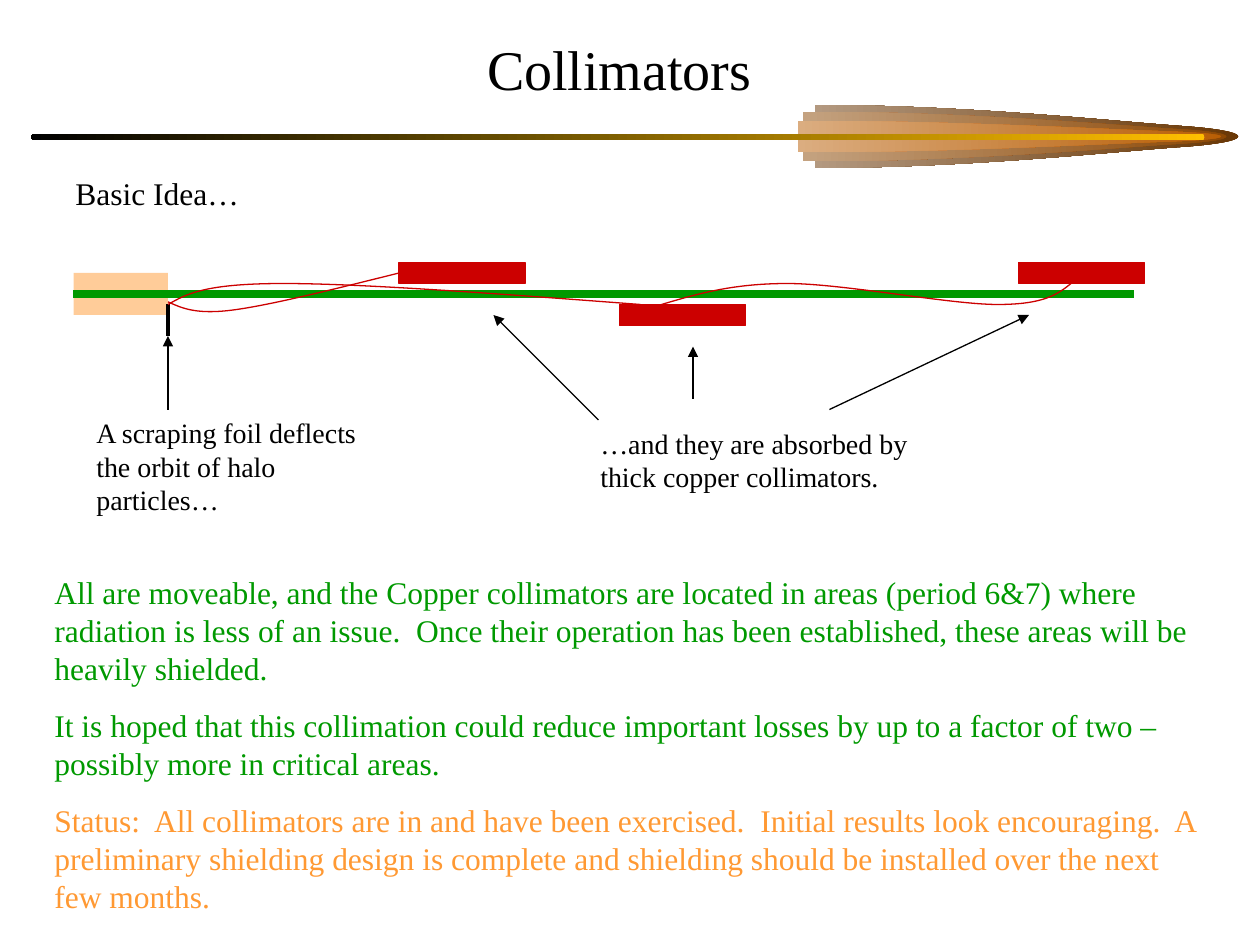
from dataclasses import dataclass

from lxml.etree import SubElement
from pptx import Presentation
from pptx.dml.color import RGBColor
from pptx.enum.shapes import MSO_CONNECTOR, MSO_SHAPE
from pptx.enum.text import MSO_ANCHOR, PP_ALIGN
from pptx.oxml.ns import qn
from pptx.util import Pt

EMU_PER_PX = 9525
FONT = "Times New Roman"
COLORS = {
    "black": "000000", "green": "009900", "red": "CC0000", "orange": "FF9933",
    "peach": "FFCC99", "gold": "FFBF00",
}

Point = tuple[int, int]


@dataclass
class Box:
    left: int
    top: int
    width: int
    height: int


@dataclass
class Label:
    box: Box
    size: int
    paragraphs: list[tuple[str, str]]
    space_before: float = 0
    centered: bool = False


@dataclass
class Line:
    start: Point
    end: Point
    color: str = "black"
    width: float = 0.75
    arrow: bool = False


@dataclass
class CometLayer:
    left: int
    half_height: int
    head: str
    trail: str


COMET_MIDDLE = 104
COMET_LAYERS = [
    CometLayer(621, 24, "663300", "B39980"),
    CometLayer(612, 19, "894400", "C4A280"),
    CometLayer(608, 12, "B75B00", "DBAD80"),
]
TITLE = Label(Box(64, 16, 816, 72), 32, [("Collimators", "black")], centered=True)
LABELS = [
    Label(Box(48, 128, 160, 38), 18, [("Basic Idea…", "black")]),
    Label(Box(64, 312, 248, 86), 16,
          [("A scraping foil deflects the orbit of halo particles…", "black")]),
    Label(Box(448, 320, 296, 61), 16,
          [("…and they are absorbed by thick copper collimators.", "black")]),
    Label(Box(32, 432, 896, 271), 18, [
        ("All are moveable, and the Copper collimators are located in areas (period 6&7) "
         "where radiation is less of an issue.  Once their operation has been established, "
         "these areas will be heavily shielded.", "green"),
        ("It is hoped that this collimation could reduce important losses by up to a factor "
         "of two – possibly more in critical areas.", "green"),
        ("Status:  All collimators are in and have been exercised.  Initial results look "
         "encouraging.  A preliminary shielding design is complete and shielding should be "
         "installed over the next few months.", "orange"),
    ], space_before=11.2),
]
FOIL = Line((128, 232), (128, 256), width=2)
BEAM = Line((56, 224), (864, 224), "green", 5)
COLLIMATORS = [Box(left, top, 96, 16) for left, top in ((304, 200), (472, 232), (776, 200))]
ORBITS = [
    [(128, 230), (139, 235), (150, 240), (179, 236), (208, 232), (256, 220), (304, 208)],
    [(128, 232), (142, 224), (156, 216), (216, 216), (276, 216), (382, 224), (488, 232)],
    [(504, 232), (531, 224), (558, 216), (600, 216), (642, 216), (724, 232), (760, 232),
     (796, 232), (806, 224), (816, 216)],
]
ARROWS = [
    Line((128, 312), (128, 256), arrow=True),
    Line((456, 320), (376, 240), arrow=True),
    Line((528, 304), (528, 264), arrow=True),
    Line((632, 312), (784, 240), arrow=True),
]


def px(*lengths: int) -> list[int]:
    return [length * EMU_PER_PX for length in lengths]


def rgb(name: str) -> RGBColor:
    return RGBColor.from_string(COLORS.get(name, name))


def fill_gradient(shape, right: str, left: str) -> None:
    shape.fill.gradient()
    shape.fill.gradient_angle = 180
    for stop, color, position in zip(shape.fill.gradient_stops, (right, left), (0, 1)):
        stop.color.rgb = rgb(color)
        stop.position = position
    shape.line.fill.background()


def add_box(slide, box: Box, kind=MSO_SHAPE.RECTANGLE):
    shape = slide.shapes.add_shape(kind, *px(box.left, box.top, box.width, box.height))
    shape.shadow.inherit = False
    return shape


def add_curve(slide, points: list[Point], closed: bool = False):
    """Draw cubic segments: a start point, then two controls and an end for each."""
    builder = slide.shapes.build_freeform(*points[0], scale=float(EMU_PER_PX))
    builder.add_line_segments(points[1:], close=closed)
    shape = builder.convert_to_shape()
    shape.shadow.inherit = False
    path = next(shape._element.iter(qn("a:path")))
    segments = path.findall(qn("a:lnTo"))[:len(points) - 1]
    for first, second, third in zip(*[iter(segments)] * 3):
        curve = first.makeelement(qn("a:cubicBezTo"))
        first.addprevious(curve)
        for segment in (first, second, third):
            curve.append(segment[0])
            path.remove(segment)
    return shape


def add_comet_layer(slide, layer: CometLayer) -> None:
    left, half = layer.left, layer.half_height
    upper = [(left, -half), (left + 115, -half), (left + 222, -round(half / 2)),
             (left + 279, -round(half / 3)), (left + 337, -round(half / 6))]
    lower = [(x, -y) for x, y in reversed(upper)]
    # The shoulder point ends the first segment and starts the second.
    points = [(x, COMET_MIDDLE + y) for x, y in upper + lower]
    fill_gradient(add_curve(slide, points, closed=True), layer.head, layer.trail)


def add_line(slide, line: Line):
    connector = slide.shapes.add_connector(
        MSO_CONNECTOR.STRAIGHT, *px(*line.start, *line.end))
    connector.line.color.rgb = rgb(line.color)
    connector.line.width = Pt(line.width)
    if line.arrow:
        SubElement(connector.line._get_or_add_ln(), qn("a:tailEnd"), type="triangle")
    SubElement(connector._element.spPr, qn("a:effectLst"))
    return connector


def add_label(slide, label: Label) -> None:
    box = label.box
    frame = slide.shapes.add_textbox(
        *px(box.left, box.top, box.width, box.height)).text_frame
    frame.word_wrap = True
    if label.centered:
        frame.vertical_anchor = MSO_ANCHOR.MIDDLE
    frame.text = "\n".join(text for text, _ in label.paragraphs)
    for index, (para, (_, color)) in enumerate(zip(frame.paragraphs, label.paragraphs)):
        if index:
            para.space_before = Pt(label.space_before)
        para.alignment = PP_ALIGN.CENTER if label.centered else PP_ALIGN.LEFT
        for span in para.runs:
            span.font.name = FONT
            span.font.size = Pt(label.size)
            span.font.color.rgb = rgb(color)


def main() -> None:
    deck = Presentation()
    deck.slide_width, deck.slide_height = px(960, 720)
    slide = deck.slides.add_slide(deck.slide_layouts[6])

    for layer in COMET_LAYERS:
        add_comet_layer(slide, layer)
    rule = add_box(slide, Box(24, 102, 894, 5), MSO_SHAPE.ROUNDED_RECTANGLE)
    rule.adjustments[0] = 0.5
    fill_gradient(rule, "gold", "black")

    source = add_box(slide, Box(56, 208, 72, 32))
    source.fill.solid()
    source.fill.fore_color.rgb = rgb("peach")
    source.line.fill.background()

    add_label(slide, TITLE)
    add_line(slide, FOIL)
    add_line(slide, BEAM).begin_connect(source, 1)
    for box in COLLIMATORS:
        collimator = add_box(slide, box)
        collimator.fill.solid()
        collimator.fill.fore_color.rgb = rgb("red")
        collimator.line.color.rgb = rgb("red")
        collimator.line.width = Pt(0.75)
    for points in ORBITS:
        orbit = add_curve(slide, points)
        orbit.fill.background()
        orbit.line.color.rgb = rgb("red")
        orbit.line.width = Pt(0.75)
    for label in LABELS:
        add_label(slide, label)
    for arrow in ARROWS:
        add_line(slide, arrow)

    deck.save("out.pptx")


if __name__ == "__main__":
    main()
